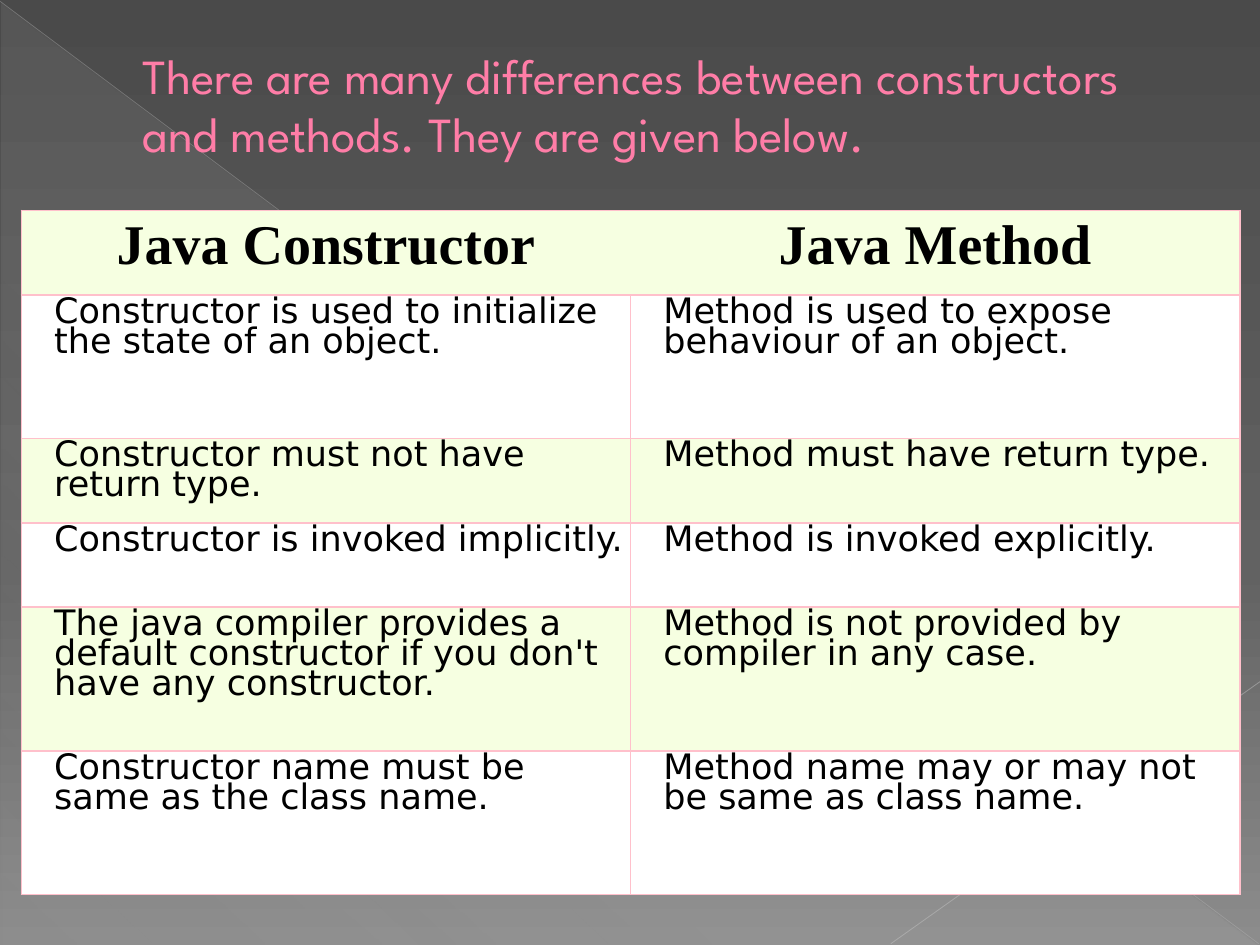
from lxml.etree import SubElement
from pptx import Presentation
from pptx.dml.color import RGBColor
from pptx.enum.shapes import MSO_CONNECTOR, MSO_SHAPE
from pptx.enum.text import MSO_ANCHOR, MSO_AUTO_SIZE, PP_ALIGN
from pptx.oxml.ns import qn
from pptx.util import Inches, Pt

COLORS = {
    "title": "FF7DA7", "text": "000000", "border": "FFC0CB",
    "tinted": "F6FFE1", "plain": "FFFFFF", "sheen": "D2D2D2",
    "diagonal": "BFBFBF", "corner": "C6C6C6",
}
BACKGROUND_STOPS = [(0, "4A4A4A", 100), (60, "626262", 100), (100, "8C8C8C", 100)]
SHEEN_STOPS = [(0, COLORS["sheen"], 10), (70, COLORS["sheen"], 8),
               (100, COLORS["sheen"], 1)]

TITLE = "There are many differences between constructors and methods. They are given below."
HEADINGS = ["Java Constructor", "Java Method"]
DIFFERENCES = [
    ("Constructor is used to initialize the state of an object.",
     "Method is used to expose behaviour of an object."),
    ("Constructor must not have return type.",
     "Method must have return type."),
    ("Constructor is invoked implicitly.",
     "Method is invoked explicitly."),
    ("The java compiler provides a default constructor if you don't have any constructor.",
     "Method is not provided by compiler in any case."),
    ("Constructor name must be same as the class name.",
     "Method name may or may not be same as class name."),
]
ROW_HEIGHTS = [0.67, 1.14, 0.67, 0.67, 1.14, 1.14]

TITLE_FONT = {"name": "League Spartan", "size": Pt(28), "bold": False}
HEADING_FONT = {"name": "Times New Roman", "size": Pt(32), "bold": True}
BODY_FONT = {"name": "DejaVu Sans", "size": Pt(20), "bold": False}


def set_attributes(target, values):
    for name, value in values.items():
        setattr(target, name, value)


def set_font(font, values, color):
    set_attributes(font, values)
    font.color.rgb = RGBColor.from_string(color)


def add_alpha(color_element, percent):
    SubElement(color_element, qn("a:alpha"), val=str(percent * 1000))


def set_gradient(fill, owner, stops, angle):
    """Fill the owner element with (position, colour, opacity) stops."""
    fill.gradient()
    gradient = owner.find(".//" + qn("a:gradFill"))
    for child in list(gradient):
        gradient.remove(child)
    stop_list = SubElement(gradient, qn("a:gsLst"))
    for position, color, opacity in stops:
        stop = SubElement(stop_list, qn("a:gs"), pos=str(position * 1000))
        add_alpha(SubElement(stop, qn("a:srgbClr"), val=color), opacity)
    SubElement(gradient, qn("a:lin"), ang=str(angle * 60000), scaled="0")


def add_sheen(slide):
    shape = slide.shapes.add_shape(MSO_SHAPE.RIGHT_TRIANGLE, Inches(0.01),
                                   Inches(0.02), Inches(9.98), Inches(7.48))
    shape.shadow.inherit = False
    shape.line.fill.background()
    set_gradient(shape.fill, shape.element.spPr, SHEEN_STOPS, 133)


def add_line(slide, start, end, color, width, opacity):
    line = slide.shapes.add_connector(
        MSO_CONNECTOR.STRAIGHT, *(Inches(value) for value in start + end))
    line.line.color.rgb = RGBColor.from_string(color)
    line.line.width = Pt(width)
    properties = line.element.spPr
    add_alpha(properties.find(".//" + qn("a:srgbClr")), opacity)
    SubElement(properties, qn("a:effectLst"))


def format_title(slide):
    title = slide.shapes.title
    set_attributes(title, {"left": Inches(0.5), "top": Inches(0.29),
                           "width": Inches(9), "height": Inches(1.53)})
    frame = title.text_frame
    frame.text = TITLE
    set_attributes(frame, {"auto_size": MSO_AUTO_SIZE.NONE, "word_wrap": True,
                           "vertical_anchor": MSO_ANCHOR.MIDDLE,
                           "margin_left": Inches(0.63),
                           "margin_bottom": Inches(0.51)})
    paragraph = frame.paragraphs[0]
    paragraph.alignment = PP_ALIGN.LEFT
    set_font(paragraph.runs[0].font, TITLE_FONT, COLORS["title"])
    # Bring the title in front of the decoration
    slide.shapes.element.append(title.element)


def set_borders(cell, hidden_side):
    properties = cell._tc.get_or_add_tcPr()
    for index, side in enumerate(("L", "R", "T", "B")):
        line = SubElement(properties, qn("a:ln" + side), w=str(Pt(1)))
        if side == hidden_side:
            SubElement(line, qn("a:noFill"))
        else:
            fill = SubElement(line, qn("a:solidFill"))
            SubElement(fill, qn("a:srgbClr"), val=COLORS["border"])
        properties.insert(index, line)


def fill_cell(cell, text, font, background, is_heading, hidden_side):
    cell.text = text
    set_attributes(cell, {
        "margin_left": Inches(0.05 if is_heading else 0.26),
        "margin_right": Inches(0.05),
        "margin_top": Inches(0.29 if is_heading else 0.05),
        "margin_bottom": Inches(0.05),
        "vertical_anchor": MSO_ANCHOR.TOP,
    })
    cell.fill.solid()
    cell.fill.fore_color.rgb = RGBColor.from_string(background)
    set_borders(cell, hidden_side)
    paragraph = cell.text_frame.paragraphs[0]
    paragraph.alignment = PP_ALIGN.CENTER if is_heading else PP_ALIGN.LEFT
    paragraph.line_spacing = Pt(17.2)
    set_font(paragraph.runs[0].font, font, COLORS["text"])


def add_comparison_table(slide):
    rows = [HEADINGS] + DIFFERENCES
    table = slide.shapes.add_table(len(rows), len(HEADINGS), Inches(0.17), Inches(1.67),
                                   Inches(9.67), Inches(sum(ROW_HEIGHTS))).table
    for row_index, texts in enumerate(rows):
        table.rows[row_index].height = Inches(ROW_HEIGHTS[row_index])
        is_heading = row_index == 0
        font = HEADING_FONT if is_heading else BODY_FONT
        background = COLORS["plain" if row_index % 2 else "tinted"]
        for column_index, text in enumerate(texts):
            # The headings share one band without a divider
            hidden_side = "RL"[column_index] if is_heading else None
            fill_cell(table.cell(row_index, column_index), text, font,
                      background, is_heading, hidden_side)


def main():
    presentation = Presentation()
    presentation.slide_width = Inches(10)
    presentation.slide_height = Inches(7.5)
    slide = presentation.slides.add_slide(presentation.slide_layouts[5])

    # Background and decoration
    set_gradient(slide.background.fill, slide.element, BACKGROUND_STOPS, 90)
    add_sheen(slide)
    add_line(slide, (0, 0.01), (9.99, 7.49), COLORS["diagonal"], 0.39, 35)
    add_line(slide, (10, 5.41), (7.07, 7.49), COLORS["corner"], 0.47, 45)

    # Content
    format_title(slide)
    add_comparison_table(slide)
    presentation.save("out.pptx")


if __name__ == "__main__":
    main()
